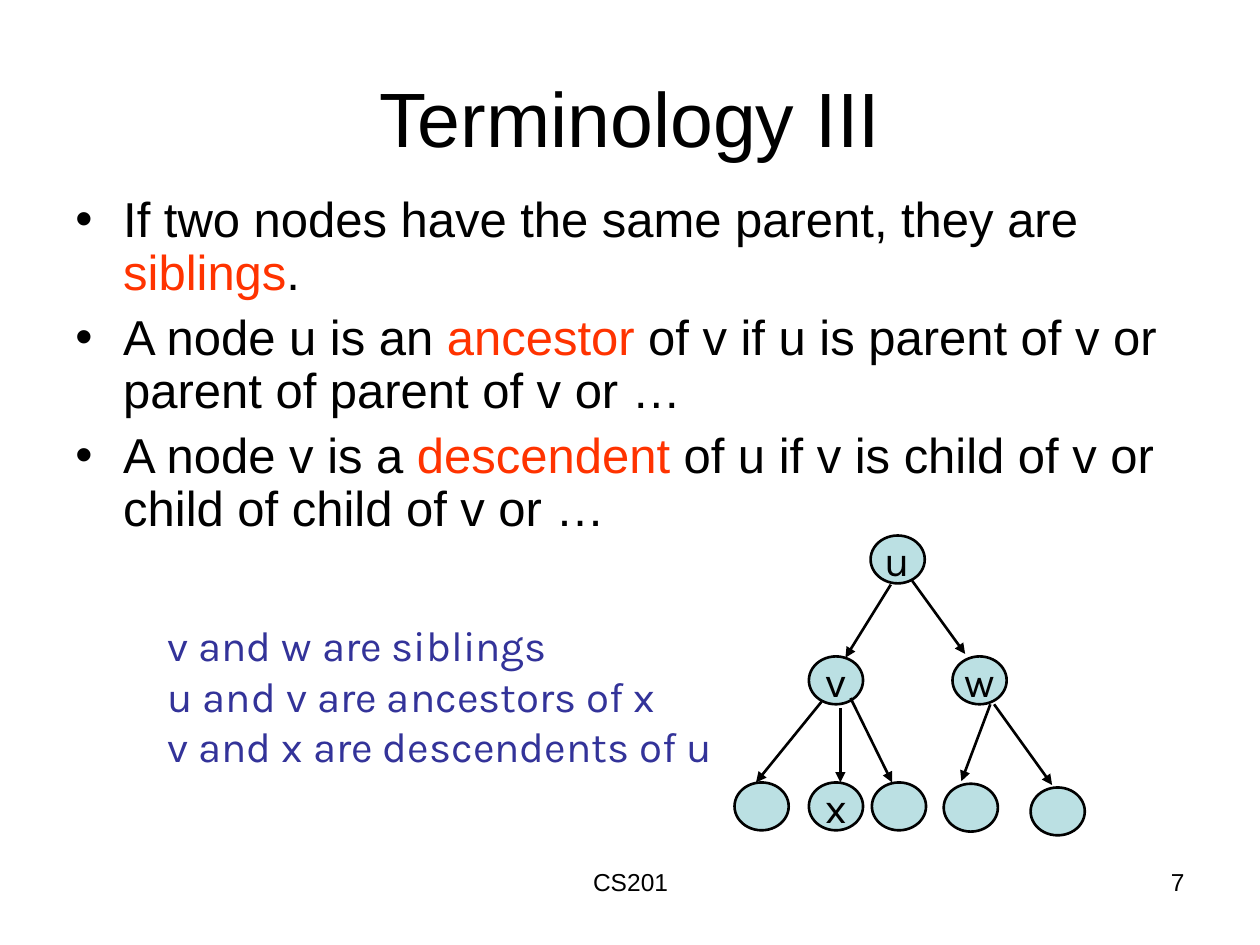
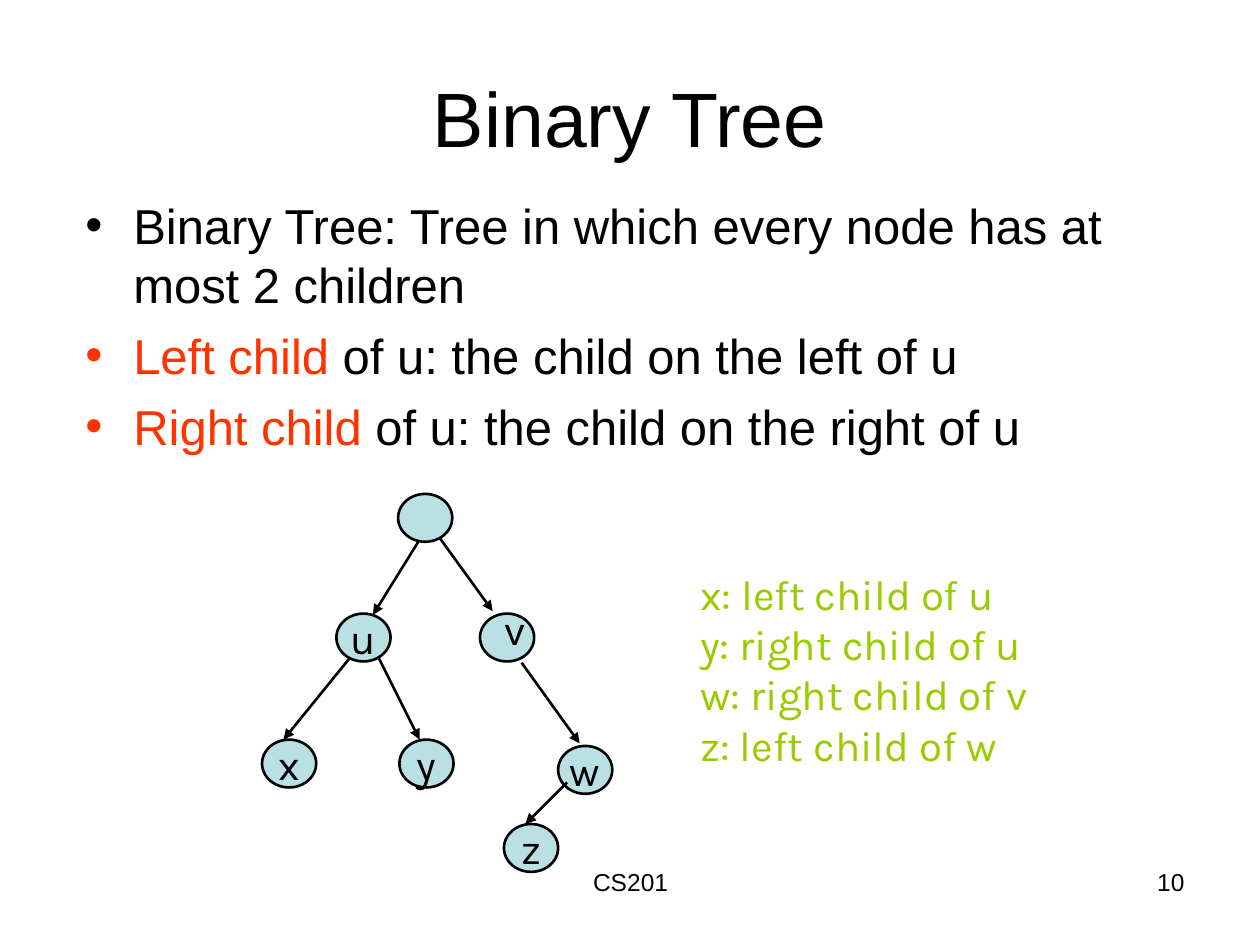
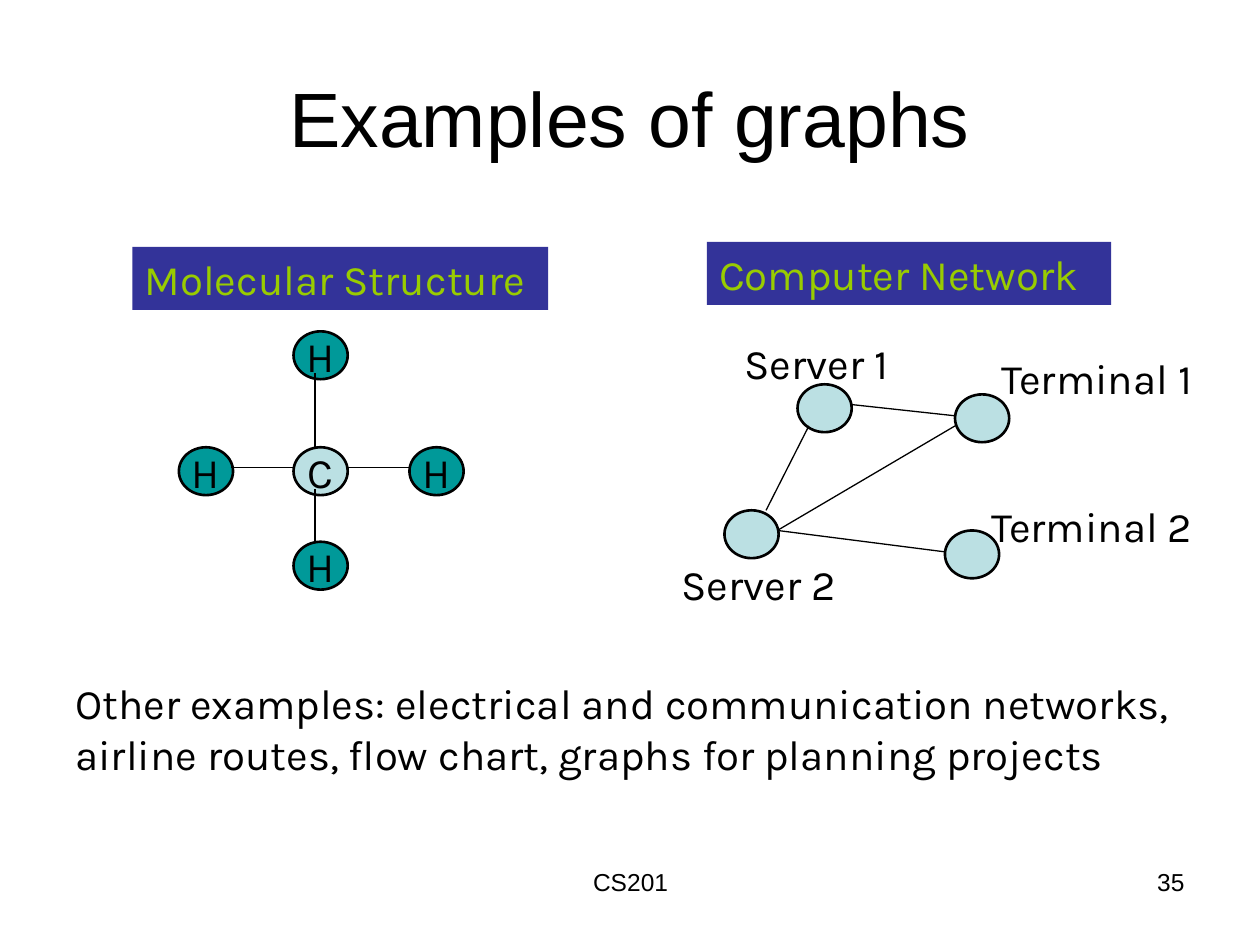
from lxml.etree import SubElement
from pptx import Presentation
from pptx.dml.color import RGBColor
from pptx.enum.shapes import MSO_CONNECTOR, MSO_SHAPE
from pptx.enum.text import MSO_ANCHOR, MSO_AUTO_SIZE, PP_ALIGN
from pptx.oxml.ns import qn
from pptx.util import Inches, Pt

COLORS = {
    "black": "000000",
    "red": "FF3300",
    "indigo": "333399",
    "green": "99CC00",
    "pale": "BBE0E3",
    "teal": "009999",
}
FONTS = {
    "title": {"name": "Arial", "size": Pt(44)},
    "body": {"name": "Arial", "size": Pt(28)},
    "footer": {"name": "Arial", "size": Pt(14)},
    "label": {"name": "Karla", "size": Pt(24)},
}
NODE_WIDTH, NODE_HEIGHT = 0.43, 0.38
BULLET_INDENT = Inches(0.38)

# Nodes are (left, top, label, fill); lines are (x1, y1, x2, y2);
# labels are (left, top, width, height, lines, color, frame options).
SLIDES = [
    {
        "title": "Terminology III",
        "number": "7",
        "body": (0.5, 3.08, 0.9),
        "bullets": [
            [("If two nodes have the same parent, they are ", "black"),
             ("siblings", "red"), (".", "black")],
            [("A node u is an ", "black"), ("ancestor", "red"),
             (" of v if u is parent of v or parent of parent of v or …", "black")],
            [("A node v is a ", "black"), ("descendent ", "red"),
             ("of u if v is child of v or child of child of v or …", "black")],
        ],
        "nodes": [
            (6.91, 4.25, "u", "pale"), (6.42, 5.21, "v", "pale"),
            (7.56, 5.21, "w", "pale"), (5.83, 6.21, "", "pale"),
            (6.42, 6.21, "x", "pale"), (6.92, 6.21, "", "pale"),
            (7.49, 6.22, "", "pale"), (8.18, 6.25, "", "pale"),
        ],
        "arrows": True,
        "lines": [
            (7.07, 4.64, 6.71, 5.22), (7.24, 4.61, 7.66, 5.19),
            (6.52, 5.57, 6, 6.21), (6.67, 5.62, 6.67, 6.21),
            (6.75, 5.54, 7.08, 6.21), (7.86, 5.59, 7.63, 6.2),
            (7.89, 5.59, 8.35, 6.23),
        ],
        "labels": [
            (1.23, 4.87, 4.68, 1.3,
             ["v and w are siblings", "u and v are ancestors of x",
              "v and x are descendents of u"], "indigo", {}),
        ],
    },
    {
        "title": "Binary Tree",
        "number": "10",
        "body": (0.58, 2.52, 1.0),
        "bullets": [
            [("Binary Tree: Tree in which every node has at most 2 children", "black")],
            [("Left child", "red"), (" of u: the child on the left of u", "black")],
            [("Right child", "red"), (" of u: the child on the right of u", "black")],
        ],
        "nodes": [
            (3.16, 3.92, "", "pale"), (2.67, 4.87, "u", "pale"),
            (3.81, 4.87, "", "pale"), (2.08, 5.87, "x", "pale"),
            (3.17, 5.87, "y", "pale"), (4, 6.54, "z", "pale"),
            (4.43, 5.92, "w", "pale"),
        ],
        "arrows": True,
        "lines": [
            (3.32, 4.3, 2.96, 4.88), (3.49, 4.27, 3.91, 4.85),
            (2.77, 5.23, 2.25, 5.87), (3, 5.21, 3.33, 5.87),
            (4.5, 6.21, 4.17, 6.54), (4.14, 5.26, 4.6, 5.9),
        ],
        "labels": [
            (3.9, 4.74, 0.37, 0.5, ["v"], "black", {"alignment": PP_ALIGN.CENTER}),
            (5.46, 4.46, 2.88, 1.7,
             ["x: left child of u", "y: right child of u",
              "w: right child of v", "z: left child of w"], "green", {}),
        ],
    },
    {
        "title": "Examples of graphs",
        "number": "35",
        "bullets": [],
        "nodes": [
            (2.33, 4.3, "H", "teal"), (2.33, 2.63, "H", "teal"),
            (2.33, 3.55, "C", "pale"), (3.25, 3.55, "H", "teal"),
            (1.42, 3.55, "H", "teal"), (6.33, 3.05, "", "pale"),
            (7.58, 3.13, "", "pale"), (7.5, 4.21, "", "pale"),
            (5.75, 4.05, "", "pale"),
        ],
        "arrows": False,
        "lines": [
            (2.5, 3.55, 2.5, 2.96), (2.75, 3.71, 3.25, 3.71),
            (2.5, 4.3, 2.5, 3.88), (1.83, 3.71, 2.33, 3.71),
            (7.58, 3.3, 6.75, 3.21), (7.5, 4.38, 6.17, 4.21),
            (7.58, 3.38, 6.17, 4.21), (6.42, 3.38, 6.08, 4.05),
        ],
        "banners": [
            (1.05, 1.96, 3.3, "Molecular Structure"),
            (5.61, 1.92, 3.21, "Computer Network"),
        ],
        "labels": [
            (5.81, 2.63, 1.48, 0.5, ["Server 1"], "black", {}),
            (5.31, 4.38, 1.48, 0.5, ["Server 2"], "black", {}),
            (7.85, 2.75, 1.86, 0.5, ["Terminal 1"], "black", {}),
            (7.77, 3.92, 1.86, 0.5, ["Terminal 2"], "black", {}),
            (0.5, 5.33, 9.17, 1.3,
             ["Other examples: electrical and communication networks, "
              "airline routes, flow chart, graphs for planning projects"],
             "black", {"wrap": True}),
        ],
    },
]


def write_text(shape, paragraphs, font, alignment=PP_ALIGN.LEFT,
               anchor=MSO_ANCHOR.TOP, wrap=False, fit=MSO_AUTO_SIZE.NONE):
    """Fill a shape with paragraphs, each a list of (text, color) runs."""
    frame = shape.text_frame
    frame_format = {"auto_size": fit, "word_wrap": wrap, "vertical_anchor": anchor}
    for name, value in frame_format.items():
        setattr(frame, name, value)
    for index, runs in enumerate(paragraphs):
        paragraph = frame.add_paragraph() if index else frame.paragraphs[0]
        paragraph.alignment = alignment
        for text, color in runs:
            run = paragraph.add_run()
            run.text = text
            for name, value in FONTS[font].items():
                setattr(run.font, name, value)
            run.font.color.rgb = RGBColor.from_string(COLORS[color])


def add_filled_shape(slide, kind, left, top, width, height, fill):
    shape = slide.shapes.add_shape(
        kind, Inches(left), Inches(top), Inches(width), Inches(height))
    shape.shadow.inherit = False
    shape.fill.solid()
    shape.fill.fore_color.rgb = RGBColor.from_string(COLORS[fill])
    return shape


presentation = Presentation()
presentation.slide_width = Inches(10)
presentation.slide_height = Inches(7.5)
title_only = presentation.slide_layouts[5]

for content in SLIDES:
    slide = presentation.slides.add_slide(title_only)

    title = slide.shapes.title
    title_place = {"left": 0.5, "top": 0.3, "width": 9, "height": 1.25}
    for name, value in title_place.items():
        setattr(title, name, Inches(value))
    write_text(title, [[(content["title"], "black")]], "title",
               PP_ALIGN.CENTER, MSO_ANCHOR.MIDDLE, wrap=True)

    for left, width, text, alignment in [
        (3.42, 3.17, "CS201", PP_ALIGN.CENTER),
        (7.17, 2.33, content["number"], PP_ALIGN.RIGHT),
    ]:
        footer = slide.shapes.add_textbox(
            Inches(left), Inches(6.83), Inches(width), Inches(0.52))
        write_text(footer, [[(text, "black")]], "footer", alignment, wrap=True)

    if content["bullets"]:
        left, height, line_spacing = content["body"]
        body = slide.shapes.add_textbox(
            Inches(left), Inches(1.5), Inches(9), Inches(height))
        write_text(body, content["bullets"], "body", wrap=True)
        for index, paragraph in enumerate(body.text_frame.paragraphs):
            properties = paragraph._p.get_or_add_pPr()
            properties.set("marL", str(BULLET_INDENT))
            properties.set("indent", str(-BULLET_INDENT))
            bullet_color = SubElement(properties, qn("a:buClr"))
            first_color = content["bullets"][index][0][1]
            SubElement(bullet_color, qn("a:srgbClr"), val=COLORS[first_color])
            SubElement(properties, qn("a:buFont"), typeface="Arial")
            SubElement(properties, qn("a:buChar"), char="•")
            paragraph.line_spacing = line_spacing
            paragraph.space_before = Pt(7 if index else 0)

    for left, top, label, fill in content["nodes"]:
        node = add_filled_shape(
            slide, MSO_SHAPE.OVAL, left, top, NODE_WIDTH, NODE_HEIGHT, fill)
        node.line.color.rgb = RGBColor.from_string(COLORS["black"])
        node.line.width = Pt(1.5)
        if label:
            write_text(node, [[(label, "black")]], "label",
                       PP_ALIGN.CENTER, MSO_ANCHOR.MIDDLE)

    for points in content["lines"]:
        connector = slide.shapes.add_connector(
            MSO_CONNECTOR.STRAIGHT, *[Inches(value) for value in points])
        connector.line.color.rgb = RGBColor.from_string(COLORS["black"])
        connector.line.width = Pt(1.5 if content["arrows"] else 0.75)
        if content["arrows"]:
            SubElement(connector.line._get_or_add_ln(), qn("a:tailEnd"), type="triangle")
        SubElement(connector._element.spPr, qn("a:effectLst"))

    for left, top, width, text in content.get("banners", []):
        banner = add_filled_shape(
            slide, MSO_SHAPE.RECTANGLE, left, top, width, 0.5, "indigo")
        banner.line.fill.background()
        write_text(banner, [[(text, "green")]], "label",
                   fit=MSO_AUTO_SIZE.SHAPE_TO_FIT_TEXT)

    for left, top, width, height, lines, color, options in content["labels"]:
        label_box = slide.shapes.add_textbox(
            Inches(left), Inches(top), Inches(width), Inches(height))
        write_text(label_box, [[(line, color)] for line in lines], "label",
                   fit=MSO_AUTO_SIZE.SHAPE_TO_FIT_TEXT, **options)

presentation.save("out.pptx")
